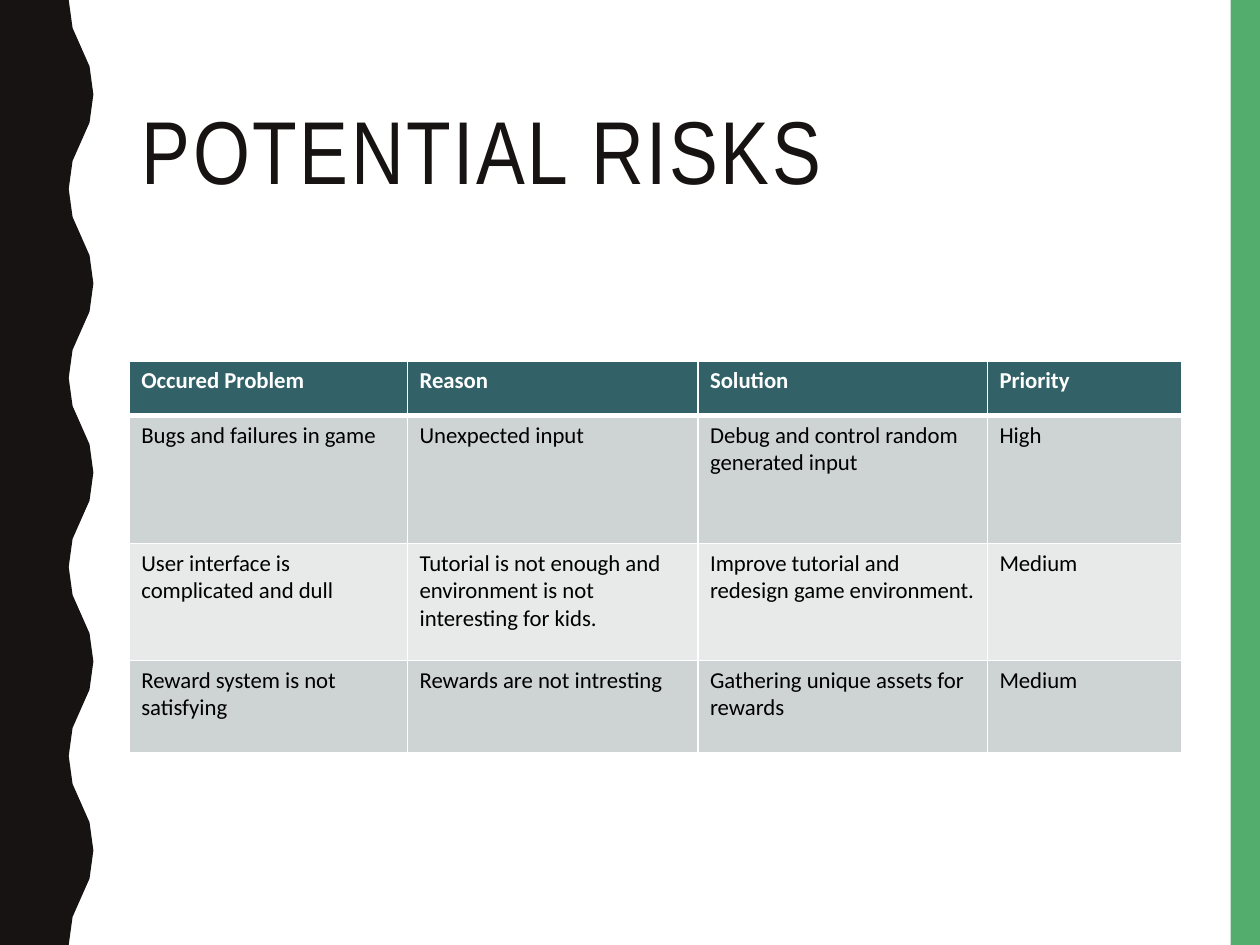
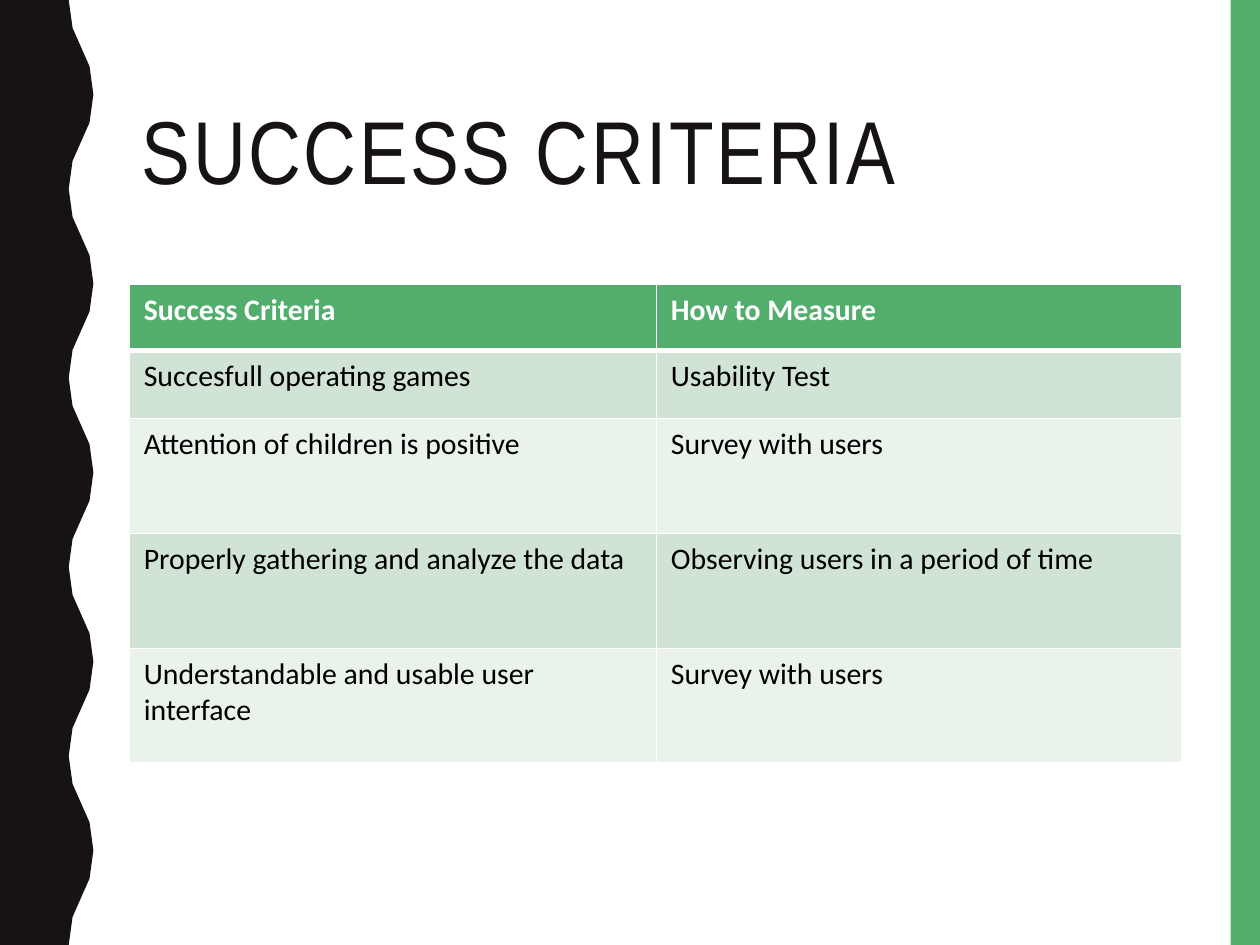
from lxml.etree import SubElement
from pptx import Presentation
from pptx.dml.color import RGBColor
from pptx.enum.shapes import MSO_SHAPE
from pptx.enum.text import MSO_ANCHOR
from pptx.oxml.ns import qn
from pptx.util import Pt

COLORS = {
    "ink": "171312",
    "green": "53AE6E",
    "teal": "326267",
    "gray": "CED3D3",
    "pale gray": "E8EAEA",
    "mint": "D1E3D5",
    "pale mint": "E9F2EB",
    "white": "FFFFFF",
    "black": "000000",
}
WIDTH, HEIGHT = 720, 540
CONTENT_LEFT, CONTENT_WIDTH = 73.9, 601.2
TROUGH, CREST, HALF_WAVE, STEPS = 39.3, 53.4, 54, 4

SLIDES = [
    {
        "title": "POTENTIAL RISKS",
        "top": 206.5,
        "columns": [159, 166, 165.4, 110.8],
        "heights": [31, 73.2, 66.8, 52.6],
        "size": 13,
        "margins": (6.9, 3.4),
        "fills": ("teal", "gray", "pale gray"),
        "rows": [
            ["Occured Problem", "Reason", "Solution", "Priority"],
            ["Bugs and failures in game", "Unexpected input",
             "Debug and control random generated input", "High"],
            ["User interface is complicated and dull",
             "Tutorial is not enough and environment is not interesting for kids.",
             "Improve tutorial and redesign game environment.", "Medium"],
            ["Reward system is not satisfying", "Rewards are not intresting",
             "Gathering unique assets for rewards", "Medium"],
        ],
    },
    {
        "title": "SUCCESS CRITERIA",
        "top": 162.4,
        "columns": [301.2, 300],
        "heights": [37.8, 38.9, 65.7, 65.7, 65.7],
        "size": 17,
        "margins": (8.3, 4.5),
        "fills": ("green", "mint", "pale mint"),
        "rows": [
            ["Success Criteria", "How to Measure"],
            ["Succesfull operating games", "Usability Test"],
            ["Attention of children is positive", "Survey with users"],
            ["Properly gathering and analyze the data",
             "Observing users in a period of time"],
            ["Understandable and usable user interface", "Survey with users"],
        ],
    },
]


def paint(fill, color):
    fill.solid()
    fill.fore_color.rgb = RGBColor.from_string(COLORS[color])


def add_run(paragraph, text, font_name, size, color, bold=False):
    run = paragraph.add_run()
    run.text = text
    run.font.name = font_name
    run.font.size = Pt(size)
    run.font.bold = bold
    run.font.color.rgb = RGBColor.from_string(COLORS[color])
    return run


wave = []
for half in range(HEIGHT // HALF_WAVE):
    start, end = (TROUGH, CREST) if half % 2 == 0 else (CREST, TROUGH)
    for step in range(1, STEPS + 1):
        t = step / STEPS
        x = start + (end - start) * (3 * t**2 - 2 * t**3)
        y = HALF_WAVE * (half + 1.5 * t * (1 - t) + t**3)
        wave.append((Pt(x), Pt(y)))

prs = Presentation()
prs.slide_width = Pt(WIDTH)
prs.slide_height = Pt(HEIGHT)

for content in SLIDES:
    slide = prs.slides.add_slide(prs.slide_layouts[6])
    paint(slide.background.fill, "white")

    right_band = slide.shapes.add_shape(
        MSO_SHAPE.RECTANGLE, Pt(703.2), Pt(0), Pt(16.8), Pt(HEIGHT))
    outline = slide.shapes.build_freeform(Pt(0), Pt(0))
    outline.add_line_segments([(Pt(TROUGH), Pt(0)), *wave, (Pt(0), Pt(HEIGHT))])
    wavy_band = outline.convert_to_shape()
    for band, color in ((right_band, "green"), (wavy_band, "ink")):
        paint(band.fill, color)
        band.line.fill.background()
        band.shadow.inherit = False

    title = slide.shapes.add_textbox(
        Pt(CONTENT_LEFT), Pt(30.2), Pt(CONTENT_WIDTH), Pt(117.4)).text_frame
    title.word_wrap = True
    title.vertical_anchor = MSO_ANCHOR.MIDDLE
    title.paragraphs[0].line_spacing = 0.9
    title_run = add_run(title.paragraphs[0], content["title"], "Arial Narrow", 51, "ink")
    title_run.font._element.set("spc", "150")

    rows, heights = content["rows"], content["heights"]
    table = slide.shapes.add_table(
        len(rows), len(rows[0]), Pt(CONTENT_LEFT), Pt(content["top"]),
        Pt(CONTENT_WIDTH), Pt(sum(heights))).table
    table.horz_banding = False
    for column, width in zip(table.columns, content["columns"]):
        column.width = Pt(width)
    header_fill, odd_fill, even_fill = content["fills"]
    side_margin, top_margin = content["margins"]

    for r, texts in enumerate(rows):
        table.rows[r].height = Pt(heights[r])
        is_header = r == 0
        row_fill = header_fill if is_header else odd_fill if r % 2 else even_fill
        borders = {"lnL": 1, "lnR": 1, "lnT": 3 if r == 1 else 1, "lnB": 3 if is_header else 1}
        for c, text in enumerate(texts):
            cell = table.cell(r, c)
            cell.margin_left = cell.margin_right = Pt(side_margin)
            cell.margin_top = cell.margin_bottom = Pt(top_margin)
            properties = cell._tc.get_or_add_tcPr()
            for side, weight in borders.items():
                border = SubElement(properties, qn(f"a:{side}"), w=str(Pt(weight)))
                border_fill = SubElement(border, qn("a:solidFill"))
                SubElement(border_fill, qn("a:srgbClr"), val=COLORS["white"])
            paint(cell.fill, row_fill)
            add_run(cell.text_frame.paragraphs[0], text, "Calibri", content["size"],
                    "white" if is_header else "black", is_header)

prs.save("out.pptx")
